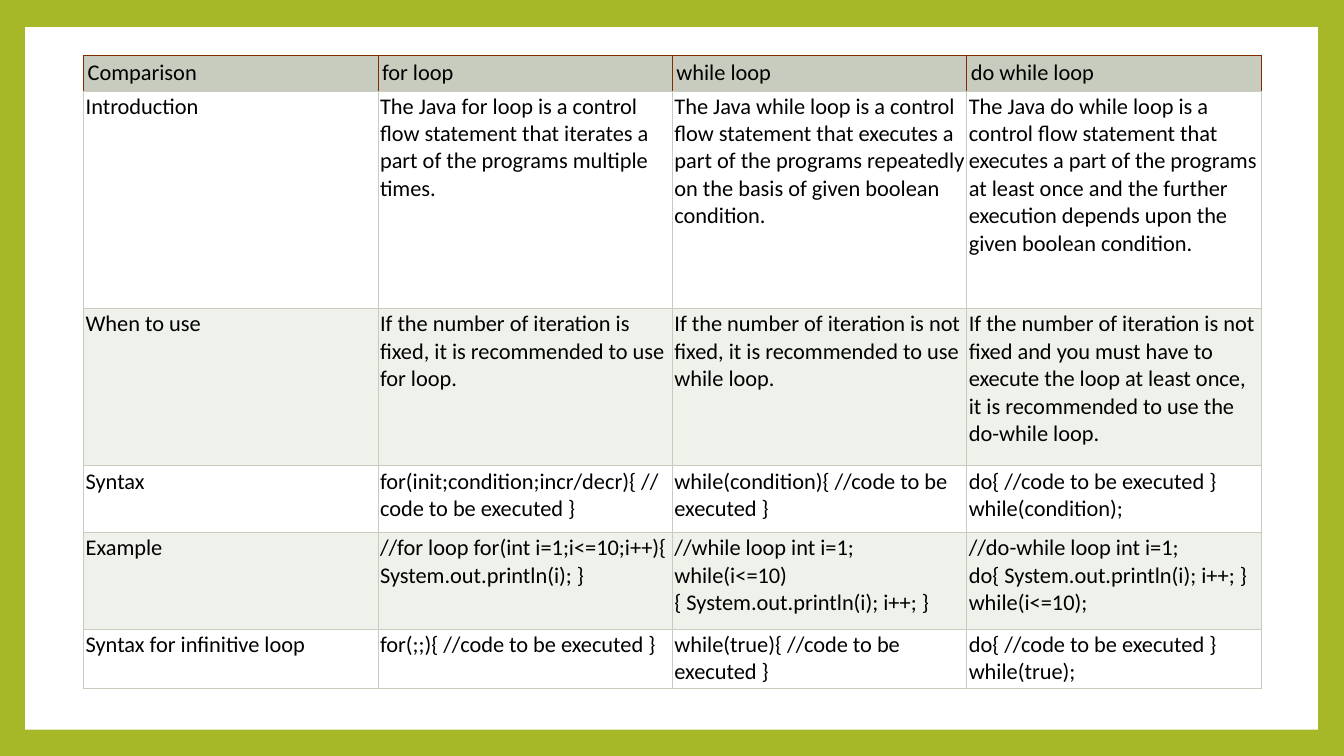
from dataclasses import dataclass

from lxml import etree
from pptx import Presentation
from pptx.dml.color import RGBColor
from pptx.enum.shapes import MSO_SHAPE
from pptx.oxml.ns import qn
from pptx.table import _Cell
from pptx.util import Emu, Pt

RECTANGLE = MSO_SHAPE.RECTANGLE

LIME = RGBColor(0xA6, 0xB7, 0x27)
WHITE = RGBColor(0xFF, 0xFF, 0xFF)
BLACK = RGBColor(0x00, 0x00, 0x00)
SAGE = RGBColor(0xC7, 0xCC, 0xBE)
PALE_SAGE = RGBColor(0xEF, 0xF1, 0xEB)
RUST = RGBColor(0x80, 0x2B, 0x00)

PX_PER_INCH = 100
BORDER_WIDTH = Pt(0.6)
COLUMN_WIDTH = 292
TABLE_HEIGHT = 627


@dataclass(frozen=True)
class ComparisonRow:
    height: int
    texts: tuple[str, str, str, str]


ROWS = (
    ComparisonRow(25, ("Comparison", "for loop", "while loop", "do while loop")),
    ComparisonRow(216, (
        "Introduction",
        "The Java for loop is a control flow statement that iterates a part of "
        "the programs multiple times.",
        "The Java while loop is a control flow statement that executes a part of "
        "the programs repeatedly on the basis of given boolean condition.",
        "The Java do while loop is a control flow statement that executes a part "
        "of the programs at least once and the further execution depends upon "
        "the given boolean condition.",
    )),
    ComparisonRow(156, (
        "When to use",
        "If the number of iteration is fixed, it is recommended to use for loop.",
        "If the number of iteration is not fixed, it is recommended to use "
        "while loop.",
        "If the number of iteration is not fixed and you must have to execute "
        "the loop at least once, it is recommended to use the do-while loop.",
    )),
    ComparisonRow(66, (
        "Syntax",
        "for(init;condition;incr/decr){ // code to be executed }",
        "while(condition){ //code to be executed }",
        "do{ //code to be executed }while(condition);",
    )),
    ComparisonRow(96, (
        "Example",
        "//for loop for(int i=1;i<=10;i++){ System.out.println(i); }",
        "//while loop int i=1; while(i<=10){ System.out.println(i); i++; }",
        "//do-while loop int i=1; do{ System.out.println(i); i++; }while(i<=10);",
    )),
    ComparisonRow(51, (
        "Syntax for infinitive loop",
        "for(;;){ //code to be executed }",
        "while(true){ //code to be executed }",
        "do{ //code to be executed }while(true);",
    )),
)


def px(length: int) -> Emu:
    return Emu(length * 914400 // PX_PER_INCH)


def set_borders(cell: _Cell, edge: RGBColor) -> None:
    """Draw the left, right and top borders in edge, and the bottom in sage."""
    properties = cell._tc.get_or_add_tcPr()
    for side, color in (("L", edge), ("R", edge), ("T", edge), ("B", SAGE)):
        line = etree.SubElement(properties, qn(f"a:ln{side}"), w=str(BORDER_WIDTH))
        fill = etree.SubElement(line, qn("a:solidFill"))
        etree.SubElement(fill, qn("a:srgbClr"), val=str(color))


def write_text(cell: _Cell, text: str, *, inset: int, size: int = 16,
               font: str = "Calibri", color: RGBColor = BLACK) -> None:
    cell.margin_left = cell.margin_right = px(inset)
    cell.margin_top = cell.margin_bottom = px(inset)
    run = cell.text_frame.paragraphs[0].add_run()
    run.text = text
    run.font.size = Pt(size)
    run.font.name = font
    run.font.bold = False
    run.font.color.rgb = color


def main() -> None:
    presentation = Presentation()
    presentation.slide_width = px(1333)
    presentation.slide_height = px(750)
    slide = presentation.slides.add_slide(presentation.slide_layouts[6])
    slide.background.fill.solid()
    slide.background.fill.fore_color.rgb = LIME

    panel = slide.shapes.add_shape(RECTANGLE, px(25), px(27), px(1282), px(697))
    panel.shadow.inherit = False
    panel.fill.solid()
    panel.fill.fore_color.rgb = WHITE
    panel.line.fill.background()

    column_count = len(ROWS[0].texts)
    frame = slide.shapes.add_table(len(ROWS), column_count, px(83), px(55),
                                   px(COLUMN_WIDTH * column_count), px(TABLE_HEIGHT))
    comparison = frame.table
    comparison.first_row = comparison.horz_banding = False
    for column in comparison.columns:
        column.width = px(COLUMN_WIDTH)

    for row_index, row in enumerate(ROWS):
        is_header = row_index == 0
        band = SAGE if is_header else WHITE if row_index % 2 else PALE_SAGE
        comparison.rows[row_index].height = px(row.height)
        for column_index, text in enumerate(row.texts):
            cell = comparison.cell(row_index, column_index)
            write_text(cell, text, inset=4 if is_header else 2)
            set_borders(cell, RUST if is_header else SAGE)
            cell.fill.solid()
            cell.fill.fore_color.rgb = band
    frame.height = px(TABLE_HEIGHT)

    presentation.save("out.pptx")


if __name__ == "__main__":
    main()
